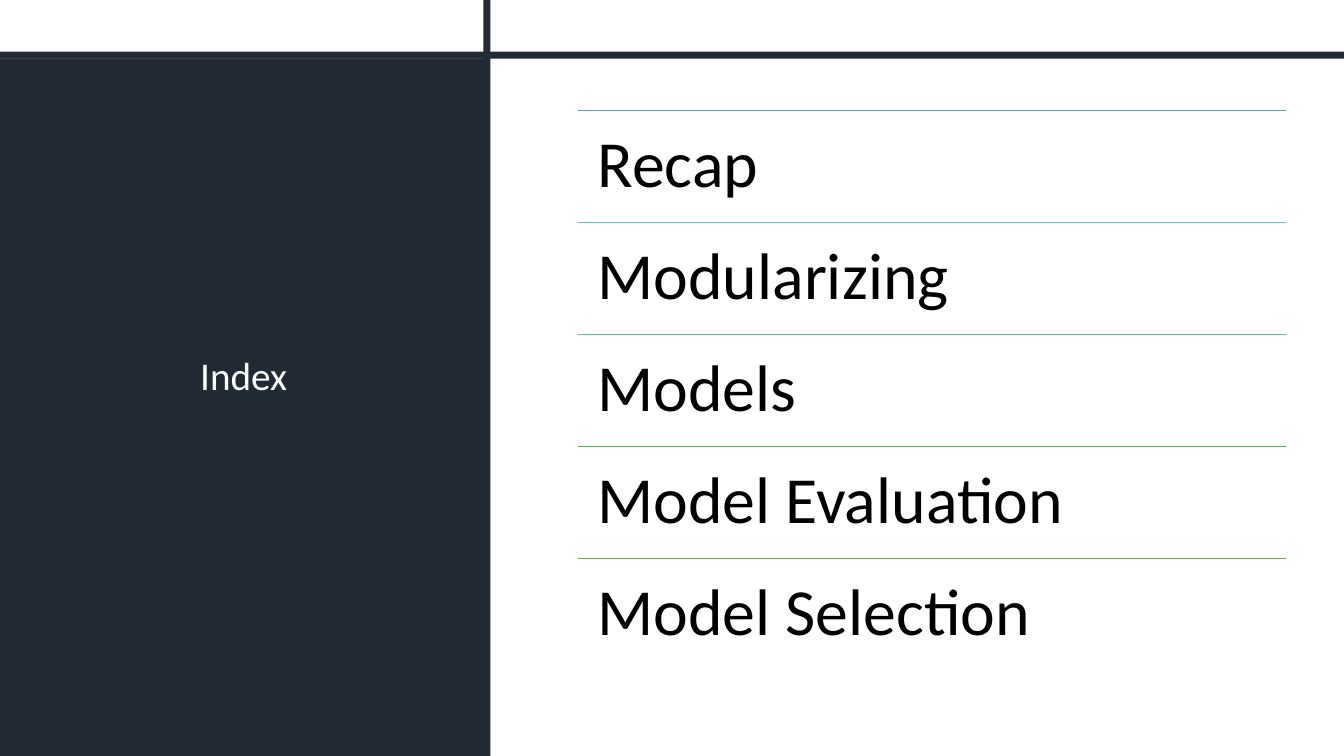
"""Build the index slide: a dark title panel beside a ruled list of topics."""
from dataclasses import dataclass

from lxml import etree
from pptx import Presentation
from pptx.dml.color import RGBColor
from pptx.enum.shapes import MSO_CONNECTOR, MSO_SHAPE
from pptx.enum.text import MSO_ANCHOR, PP_ALIGN
from pptx.oxml.ns import qn
from pptx.slide import Slide
from pptx.text.text import TextFrame
from pptx.util import Cm, Pt

RECTANGLE = MSO_SHAPE.RECTANGLE
STRAIGHT = MSO_CONNECTOR.STRAIGHT
TOP = MSO_ANCHOR.TOP
MIDDLE = MSO_ANCHOR.MIDDLE
LEFT = PP_ALIGN.LEFT
CENTER = PP_ALIGN.CENTER

NAVY = RGBColor(0x22, 0x2A, 0x35)
WHITE = RGBColor(0xFF, 0xFF, 0xFF)
BLACK = RGBColor(0x00, 0x00, 0x00)
BLUE = RGBColor(0x5B, 0x9B, 0xD5)
TURQUOISE = RGBColor(0x54, 0xCC, 0xCD)
MINT = RGBColor(0x4D, 0xC5, 0x8D)
GREEN = RGBColor(0x48, 0xBB, 0x4F)
OLIVE = RGBColor(0x70, 0xAD, 0x47)

FONT = "Calibri"
SLIDE_WIDTH, SLIDE_HEIGHT = 33.87, 19.05
LIST_LEFT, LIST_TOP, LIST_WIDTH = 14.56, 2.79, 17.84
TOPIC_HEIGHT = 2.82
TOPIC_INSET = 0.5


@dataclass(frozen=True)
class Box:
    left: float
    top: float
    width: float
    height: float


@dataclass(frozen=True)
class Topic:
    name: str
    rule_color: RGBColor


PANEL_AND_BARS = [
    Box(0, 1.47, 12.34, 17.58),
    Box(12.18, 0, 0.18, SLIDE_HEIGHT),
    Box(0, 1.3, SLIDE_WIDTH, 0.18),
]
TITLE_BOX = Box(1.68, 2.13, 8.92, 14.78)
TOPICS = [
    Topic("Recap", BLUE),
    Topic("Modularizing", TURQUOISE),
    Topic("Models", MINT),
    Topic("Model Evaluation", GREEN),
    Topic("Model Selection", OLIVE),
]


def add_block(slide: Slide, box: Box) -> None:
    block = slide.shapes.add_shape(
        RECTANGLE, Cm(box.left), Cm(box.top), Cm(box.width), Cm(box.height)
    )
    block.shadow.inherit = False
    block.fill.solid()
    block.fill.fore_color.rgb = NAVY
    block.line.fill.background()


def add_text(slide: Slide, box: Box, text: str, size: float, color: RGBColor,
             align: PP_ALIGN, anchor: MSO_ANCHOR) -> TextFrame:
    frame = slide.shapes.add_textbox(
        Cm(box.left), Cm(box.top), Cm(box.width), Cm(box.height)
    ).text_frame
    frame.word_wrap = True
    frame.vertical_anchor = anchor
    frame.text = text
    paragraph = frame.paragraphs[0]
    paragraph.alignment = align
    paragraph.line_spacing = 0.9
    font = paragraph.runs[0].font
    font.name = FONT
    font.size = Pt(size)
    font.color.rgb = color
    return frame


def add_topic(slide: Slide, topic: Topic, top: float) -> None:
    rule = slide.shapes.add_connector(
        STRAIGHT, Cm(LIST_LEFT), Cm(top), Cm(LIST_LEFT + LIST_WIDTH), Cm(top)
    )
    rule.line.color.rgb = topic.rule_color
    rule.line.width = Pt(1)
    etree.SubElement(rule._element.spPr, qn("a:effectLst"))

    box = Box(LIST_LEFT, top, LIST_WIDTH, TOPIC_HEIGHT)
    frame = add_text(slide, box, topic.name, 47, BLACK, LEFT, TOP)
    frame.margin_left = frame.margin_right = Cm(TOPIC_INSET)
    frame.margin_top = frame.margin_bottom = Cm(TOPIC_INSET)


def main() -> None:
    presentation = Presentation()
    presentation.slide_width = Cm(SLIDE_WIDTH)
    presentation.slide_height = Cm(SLIDE_HEIGHT)
    slide = presentation.slides.add_slide(presentation.slide_layouts[6])

    for box in PANEL_AND_BARS:
        add_block(slide, box)
    add_text(slide, TITLE_BOX, "Index", 28, WHITE, CENTER, MIDDLE)
    for row, topic in enumerate(TOPICS):
        add_topic(slide, topic, LIST_TOP + row * TOPIC_HEIGHT)

    presentation.save("out.pptx")


if __name__ == "__main__":
    main()
